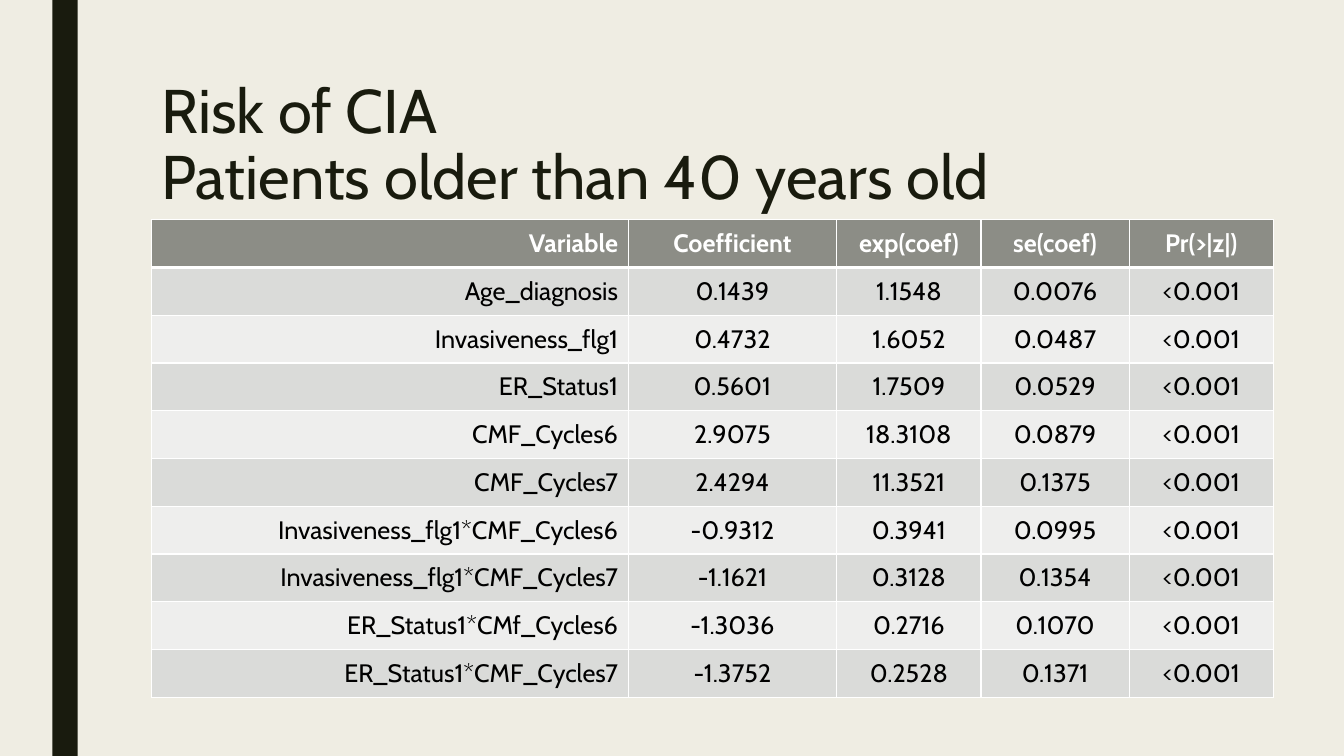
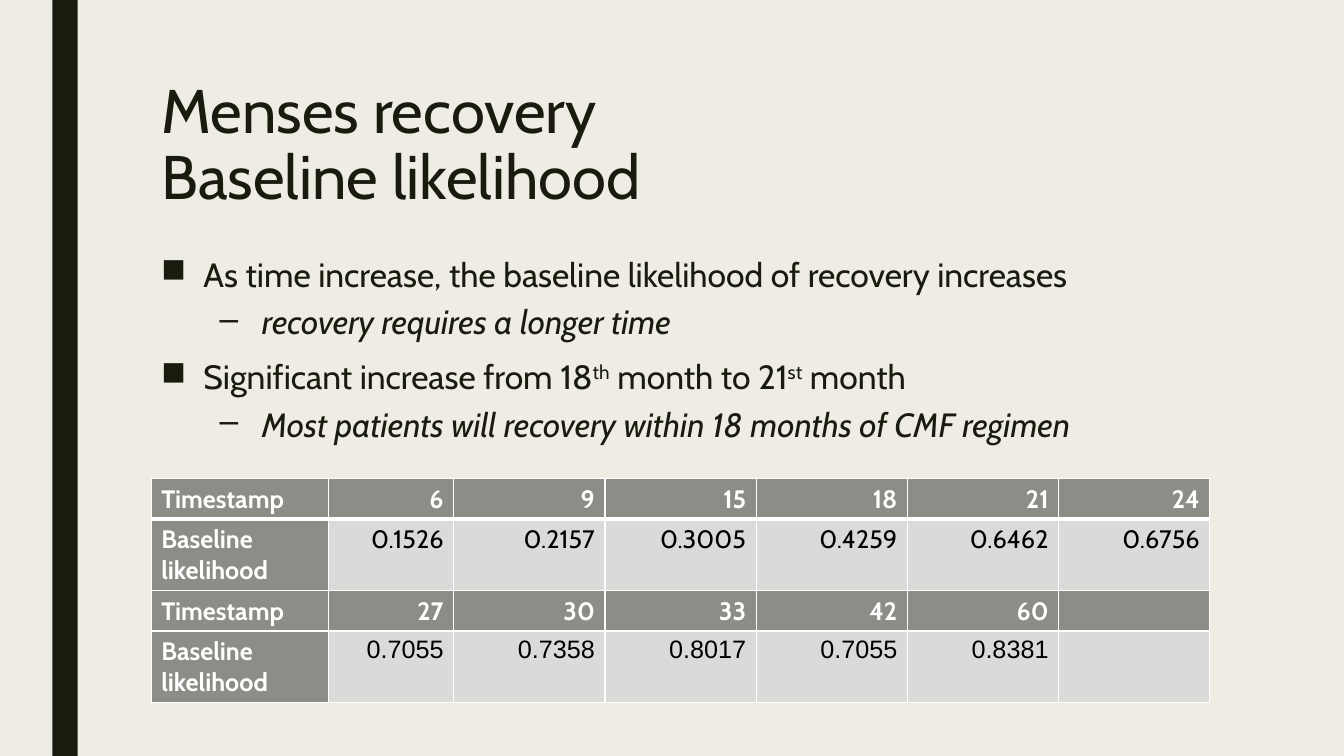
from dataclasses import dataclass

from lxml import etree
from pptx import Presentation, util as u
from pptx.dml.color import RGBColor
from pptx.enum import shapes, text
from pptx.oxml import ns

LEFT, CENTER, RIGHT = text.PP_ALIGN.LEFT, text.PP_ALIGN.CENTER, text.PP_ALIGN.RIGHT


@dataclass(frozen=True)
class Theme:
    background: str = "EFEDE3"
    ink: str = "191B0E"
    header: str = "8C8D86"
    odd_row: str = "DADBD9"
    even_row: str = "EEEEED"
    white: str = "FFFFFF"
    black: str = "000000"
    font: str = "Cabin"
    number_font: str = "Arial"
    title_size: int = 44
    body_size: int = 24
    table_size: int = 18


@dataclass(frozen=True)
class TableStyle:
    first_align: int
    other_align: int
    anchor: int
    header_rows: tuple = (0,)
    header_columns: int = 0
    number_font_rows: tuple = ()


class Deck:
    def __init__(self, theme):
        self.theme = theme
        self.presentation = Presentation()
        self.presentation.slide_width = u.Inches(13.33)
        self.presentation.slide_height = u.Inches(7.5)
        self.fill(self.presentation.slide_master.background, theme.background)
        self.slide = None

    def fill(self, target, color):
        target.fill.solid()
        target.fill.fore_color.rgb = RGBColor.from_string(color)

    def format_runs(self, paragraph, size, color, name=None, bold=False, italic=False):
        for run in paragraph.runs:
            run.font.name = name or self.theme.font
            run.font.size = u.Pt(size)
            run.font.color.rgb = RGBColor.from_string(color)
            run.font.bold = bold
            run.font.italic = italic

    def add_slide(self, title):
        self.slide = self.presentation.slides.add_slide(self.presentation.slide_layouts[5])
        self.add_band()
        placeholder = self.slide.shapes.title
        placeholder.left, placeholder.top = u.Inches(1.5), u.Inches(0.75)
        placeholder.width, placeholder.height = u.Inches(10.5), u.Inches(1.62)
        frame = placeholder.text_frame
        frame.text = title
        frame.word_wrap = True
        frame.vertical_anchor = text.MSO_ANCHOR.TOP
        paragraph = frame.paragraphs[0]
        paragraph.alignment = LEFT
        paragraph.line_spacing = 0.89
        self.format_runs(paragraph, self.theme.title_size, self.theme.ink)

    def add_band(self):
        band = self.slide.shapes.add_shape(
            shapes.MSO_SHAPE.RECTANGLE,
            u.Inches(0.52), 0, u.Inches(0.25), self.presentation.slide_height)
        band.shadow.inherit = False
        self.fill(band, self.theme.ink)
        band.line.fill.background()

    def add_bullets(self, items, left, top, width, height):
        box = self.slide.shapes.add_textbox(
            u.Inches(left), u.Inches(top), u.Inches(width), u.Inches(height))
        frame = box.text_frame
        frame.word_wrap = True
        for index, (level, content) in enumerate(items):
            paragraph = frame.add_paragraph() if index else frame.paragraphs[0]
            paragraph.level = level
            paragraph.line_spacing = 0.94
            paragraph.space_before = u.Pt((10, 5)[level])
            paragraph.space_after = u.Pt(2)
            self.set_bullet(paragraph, "■–"[level], (0.42, 1)[level])
            for position, part in enumerate(content.split("^")):
                run = paragraph.add_run()
                run.text = part
                if position % 2:
                    run._r.get_or_add_rPr().set("baseline", "30000")
            self.format_runs(paragraph, self.theme.body_size, self.theme.ink,
                             italic=level == 1)

    def set_bullet(self, paragraph, character, indent):
        properties = paragraph._p.get_or_add_pPr()
        properties.set("marL", str(u.Inches(indent)))
        properties.set("indent", str(u.Inches(-0.42)))
        etree.SubElement(properties, ns.qn("a:buChar")).set("char", character)

    def add_table(self, rows, left, top, widths, heights, style):
        frame = self.slide.shapes.add_table(
            len(rows), len(widths), u.Inches(left), u.Inches(top),
            u.Inches(sum(widths)), u.Inches(sum(heights)))
        table = frame.table
        table.first_row = table.horz_banding = False
        for column, width in zip(table.columns, widths):
            column.width = u.Inches(width)
        for row, height in zip(table.rows, heights):
            row.height = u.Inches(height)
        for row_index, row in enumerate(rows):
            for column_index, content in enumerate(row):
                cell = table.cell(row_index, column_index)
                self.format_cell(cell, content, row_index, column_index, style)

    def format_cell(self, cell, content, row_index, column_index, style):
        theme = self.theme
        is_header = row_index in style.header_rows or column_index < style.header_columns
        row_color = theme.odd_row if row_index % 2 else theme.even_row
        self.fill(cell, theme.header if is_header else row_color)
        self.set_borders(cell, 3 if row_index == 1 else 1, 3 if row_index == 0 else 1)
        cell.vertical_anchor = style.anchor
        cell.text_frame.text = content
        paragraph = cell.text_frame.paragraphs[0]
        paragraph.alignment = style.other_align if column_index else style.first_align
        use_number_font = row_index in style.number_font_rows and not is_header
        self.format_runs(paragraph, theme.table_size,
                         theme.white if is_header else theme.black,
                         name=theme.number_font if use_number_font else None,
                         bold=is_header)

    def set_borders(self, cell, top, bottom):
        properties = cell._tc.get_or_add_tcPr()
        borders = (("a:lnL", 1), ("a:lnR", 1), ("a:lnT", top), ("a:lnB", bottom))
        for index, (tag, width) in enumerate(borders):
            line = etree.Element(ns.qn(tag), w=str(u.Pt(width)))
            solid = etree.SubElement(line, ns.qn("a:solidFill"))
            etree.SubElement(solid, ns.qn("a:srgbClr")).set("val", self.theme.white)
            properties.insert(index, line)


def add_risk_slide(deck):
    deck.add_slide("Risk of CIA\vPatients older than 40 years old")
    estimates = [
        ("Age_diagnosis", "0.1439", "1.1548", "0.0076"),
        ("Invasiveness_flg1", "0.4732", "1.6052", "0.0487"),
        ("ER_Status1", "0.5601", "1.7509", "0.0529"),
        ("CMF_Cycles6", "2.9075", "18.3108", "0.0879"),
        ("CMF_Cycles7", "2.4294", "11.3521", "0.1375"),
        ("Invasiveness_flg1*CMF_Cycles6", "-0.9312", "0.3941", "0.0995"),
        ("Invasiveness_flg1*CMF_Cycles7", "-1.1621", "0.3128", "0.1354"),
        ("ER_Status1*CMf_Cycles6", "-1.3036", "0.2716", "0.1070"),
        ("ER_Status1*CMF_Cycles7", "-1.3752", "0.2528", "0.1371"),
    ]
    rows = [("Variable", "Coefficient", "exp(coef)", "se(coef)", "Pr(>|z|)")]
    rows += [estimate + ("<0.001",) for estimate in estimates]
    deck.add_table(rows, 1.5, 2.18, [4.73, 2.07, 1.43, 1.47, 1.43],
                   [4.74 / len(rows)] * len(rows),
                   TableStyle(RIGHT, CENTER, text.MSO_ANCHOR.MIDDLE))


def add_recovery_slide(deck):
    deck.add_slide("Menses recovery\vBaseline likelihood")
    deck.add_bullets([
        (0, "As time increase, the baseline likelihood of recovery increases"),
        (1, "recovery requires a longer time"),
        (0, "Significant increase from 18^th^ month to 21^st^ month"),
        (1, "Most patients will recovery within 18 months of CMF regimen"),
    ], 1.5, 2.5, 10.5, 2.2)
    rows = [
        ("Timestamp", "6", "9", "15", "18", "21", "24"),
        ("Baseline likelihood", "0.1526", "0.2157", "0.3005", "0.4259", "0.6462", "0.6756"),
        ("Timestamp", "27", "30", "33", "42", "60", ""),
        ("Baseline likelihood", "0.7055", "0.7358", "0.8017", "0.7055", "0.8381", ""),
    ]
    deck.add_table(rows, 1.5, 4.75, [1.76, 1.24] + [1.5] * 5, [0.4, 0.71] * 2,
                   TableStyle(LEFT, RIGHT, text.MSO_ANCHOR.TOP, header_rows=(0, 2),
                              header_columns=1, number_font_rows=(3,)))


def main():
    deck = Deck(Theme())
    add_risk_slide(deck)
    add_recovery_slide(deck)
    deck.presentation.save("out.pptx")


if __name__ == "__main__":
    main()
